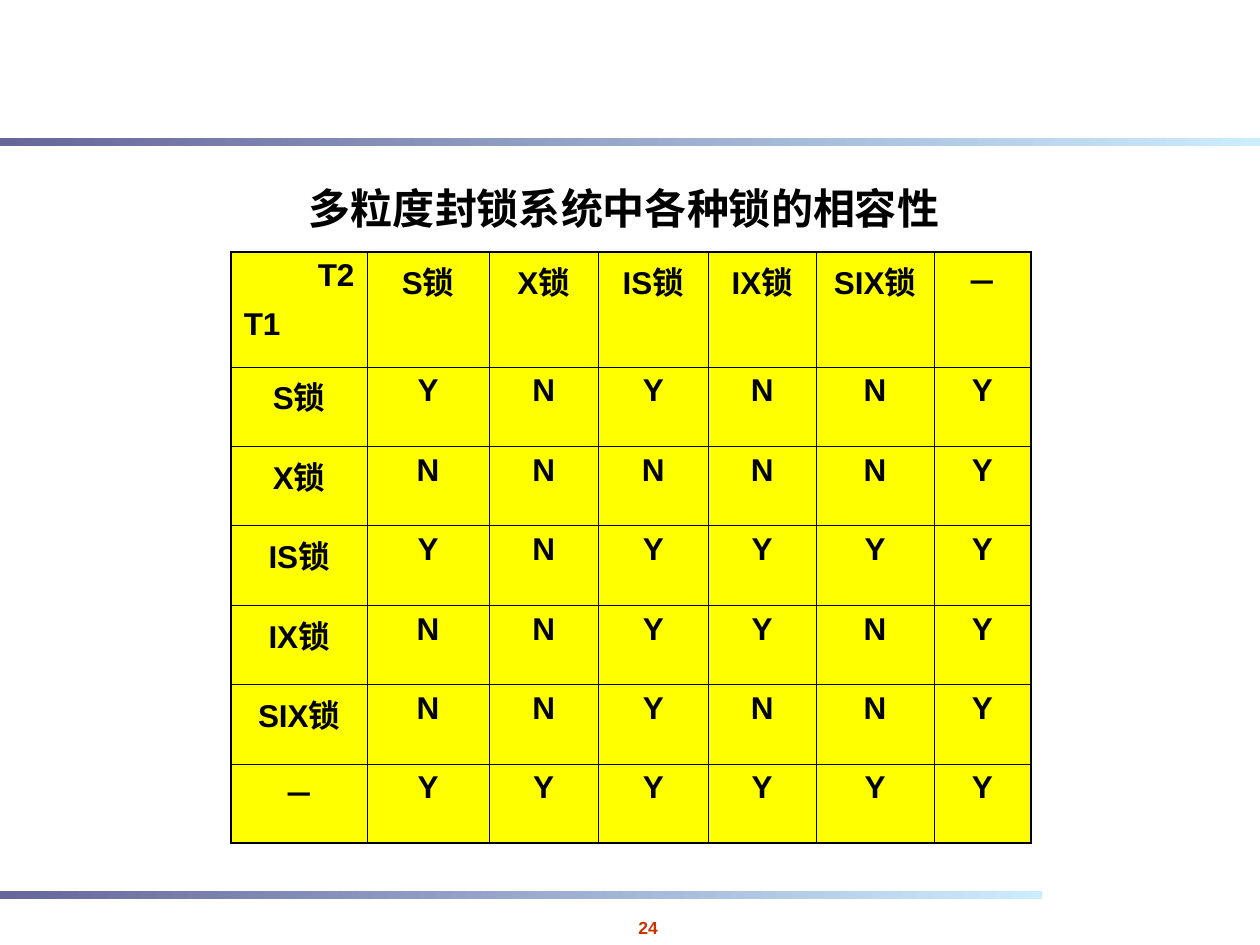
from dataclasses import dataclass

from lxml.etree import SubElement
from pptx import Presentation
from pptx.dml.color import RGBColor
from pptx.enum.shapes import MSO_SHAPE as Shape
from pptx.enum.text import MSO_ANCHOR as Anchor, MSO_AUTO_SIZE as AutoSize, PP_ALIGN as Align
from pptx.oxml.ns import qn
from pptx.util import Cm, Pt

LATIN, CJK = "Arial", "Noto Sans CJK SC"
BLACK, YELLOW, RED = "000000", "FFFF00", "CC3300"
THIN, THICK = 0.45, 1.08
LOCKS = ["S锁", "X锁", "IS锁", "IX锁", "SIX锁", "－"]
COMPATIBLE = ["YNYNNY", "NNNNNY", "YNYYYY", "NNYYNY", "NNYNNY", "YYYYYY"]
COL_WIDTHS = [2.74, 2.46, 2.2, 2.22, 2.17, 2.38, 1.95]
ROW_HEIGHTS = [2.32] + [1.6] * len(LOCKS)


@dataclass
class Bar:
    top: float
    width: float


@dataclass
class Label:
    text: str
    left: float
    top: float
    width: float
    height: float
    size: float
    font: str
    color: str
    inset_x: float = 0
    inset_y: float = 0
    anchor: Anchor = Anchor.TOP
    wrap: bool = True
    autosize: AutoSize = AutoSize.NONE


BARS = [Bar(2.79, 25.4), Bar(17.96, 21)]
LABELS = [
    Label("24", 11.96, 18.36, 2.21, 0.69, 10, LATIN, RED, 0.25, 0.13,
          wrap=False, autosize=AutoSize.SHAPE_TO_FIT_TEXT),
    Label("多粒度封锁系统中各种锁的相容性", 5.28, 3.38, 14.6, 1.32, 24, CJK, BLACK,
          anchor=Anchor.BOTTOM),
]


def rgb(value: str) -> RGBColor:
    return RGBColor.from_string(value)


def style(p, size: float, font: str, color: str, align: Align) -> None:
    p.alignment = align
    for r in p.runs:
        r.font.size, r.font.bold, r.font.name = Pt(size), True, font
        r.font.color.rgb = rgb(color)
        SubElement(r.font._element, qn("a:ea"), typeface=CJK)


def draw_bar(s, bar: Bar) -> None:
    sp = s.shapes.add_shape(Shape.RECTANGLE, 0, Cm(bar.top), Cm(bar.width), Cm(0.16))
    sp.shadow.inherit = False
    sp.line.fill.background()
    sp.fill.gradient()
    sp.fill.gradient_angle = 0
    for stop, color in zip(sp.fill.gradient_stops, ("666699", "CCECFF")):
        stop.color.rgb = rgb(color)


def draw_label(s, label: Label) -> None:
    sp = s.shapes.add_textbox(Cm(label.left), Cm(label.top), Cm(label.width), Cm(label.height))
    tf = sp.text_frame
    tf.text = label.text
    tf.word_wrap, tf.auto_size, tf.vertical_anchor = label.wrap, label.autosize, label.anchor
    tf.margin_left = tf.margin_right = Cm(label.inset_x)
    tf.margin_top = tf.margin_bottom = Cm(label.inset_y)
    style(tf.paragraphs[0], label.size, label.font, label.color, Align.CENTER)


def set_border(cell, side: str, width: float) -> None:
    ln = SubElement(cell._tc.get_or_add_tcPr(), qn(f"a:ln{side}"), w=str(Pt(width)))
    SubElement(SubElement(ln, qn("a:solidFill")), qn("a:srgbClr"), val=BLACK)


def draw_table(s) -> None:
    rows = [["T2\nT1"] + LOCKS] + [[lock, *flags] for lock, flags in zip(LOCKS, COMPATIBLE)]
    last_row, last_col = len(rows) - 1, len(COL_WIDTHS) - 1
    table = s.shapes.add_table(len(rows), len(COL_WIDTHS), Cm(4.66), Cm(5.08),
                               Cm(sum(COL_WIDTHS)), Cm(sum(ROW_HEIGHTS))).table
    for col, width in zip(table.columns, COL_WIDTHS):
        col.width = Cm(width)
    for row, height in zip(table.rows, ROW_HEIGHTS):
        row.height = Cm(height)
    for i, texts in enumerate(rows):
        for j, text in enumerate(texts):
            cell = table.cell(i, j)
            cell.text_frame.text = text
            outer = {"L": j == 0, "R": j == last_col, "T": i == 0, "B": i == last_row}
            for side, is_outer in outer.items():
                set_border(cell, side, THICK if is_outer else THIN)
            cell.fill.solid()
            cell.fill.fore_color.rgb = rgb(YELLOW)
            for p in cell.text_frame.paragraphs:
                style(p, 18, LATIN, BLACK, Align.CENTER)
    t2, t1 = table.cell(0, 0).text_frame.paragraphs
    t2.alignment, t1.alignment = Align.RIGHT, Align.LEFT
    t1.space_before = Pt(7.9)


def main() -> None:
    """Build the lock compatibility slide."""
    prs = Presentation()
    prs.slide_width, prs.slide_height = Cm(25.4), Cm(19.05)
    s = prs.slides.add_slide(prs.slide_layouts[6])
    for bar in BARS:
        draw_bar(s, bar)
    for label in LABELS:
        draw_label(s, label)
    draw_table(s)
    prs.save("out.pptx")


if __name__ == "__main__":
    main()
